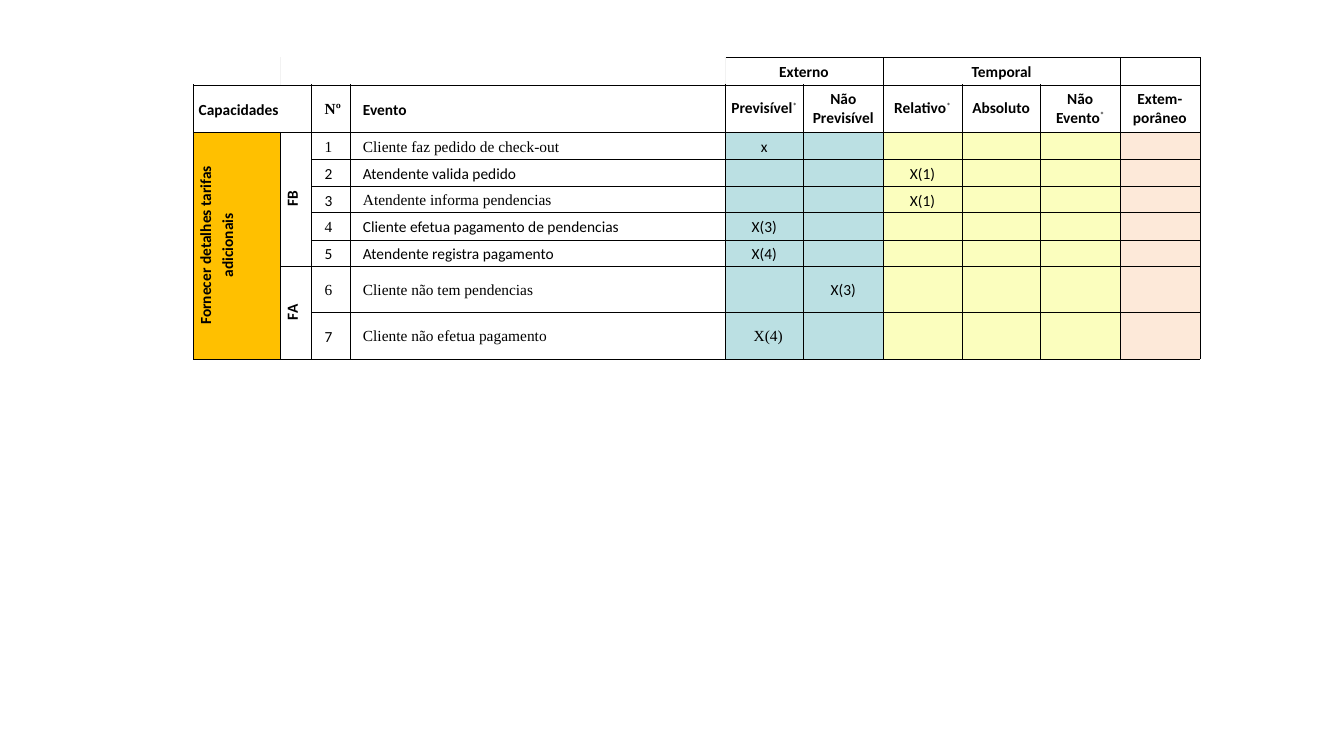
import dataclasses
import pptx
import pptx.dml.color
import pptx.enum.text
import pptx.oxml.ns
import pptx.util
from lxml import etree
from pptx.util import Inches

SANS, SERIF = "Calibri", "Times New Roman"
BLACK, PALE = "000000", "F2F2F2"
AMBER, TEAL, YELLOW, PEACH = "FFC000", "BBE0E3", "FBFEBE", "FDE9D9"
BAND_FILLS = [TEAL] * 2 + [YELLOW] * 3 + [PEACH]
COL_WIDTHS = [0.86, 0.31, 0.38, 3.72, 0.78, 0.79, 0.78, 0.78, 0.79, 0.79]
ROW_HEIGHTS = [0.27, 0.47, 0.27, 0.27, 0.26, 0.27, 0.26, 0.46, 0.46]
NUMBER_COL, EVENT_COL, FIRST_BAND_COL = 2, 3, 4
FIRST_EVENT_ROW = 2


@dataclasses.dataclass
class Event:
    """One event row: its wording, its mark and their fonts."""
    text: str
    mark: str
    mark_col: int
    number_font: str = SANS
    text_font: str = SANS
    mark_font: str = SANS
    mark_indent: float = 0


@dataclasses.dataclass
class Group:
    """A merged cell with a bold label."""
    text: str
    row: int
    col: int
    last_row: int
    last_col: int
    fill: str = ""
    vertical: bool = False
    centred: bool = True


EVENTS = [
    Event("Cliente faz pedido de check-out", "x", 4, SERIF, SERIF),
    Event("Atendente valida pedido", "X(1)", 6),
    Event("Atendente informa pendencias\u00a0", "X(1)", 6, SANS, SERIF),
    Event("Cliente efetua pagamento de pendencias\u00a0", "X(3)", 4, SERIF),
    Event("Atendente registra pagamento", "X(4)", 4),
    Event("Cliente não tem pendencias", "X(3)", 5, SERIF, SERIF),
    Event("Cliente não efetua pagamento", "X(4)", 4, SANS, SERIF, SERIF, 0.08),
]
GROUPS = [
    Group("", 0, 1, 0, 3),
    Group("Externo", 0, 4, 0, 5),
    Group("Temporal", 0, 6, 0, 8),
    Group("Capacidades", 1, 0, 1, 1, centred=False),
    Group("Fornecer detalhes tarifas adicionais", 2, 0, 8, 0, AMBER, True),
    Group("FB", 2, 1, 6, 1, vertical=True),
    Group("FA", 7, 1, 8, 1, vertical=True),
]
# A trailing asterisk is set as a superscript.
BAND_HEADS = ["Previsível*", "Não Previsível", "Relativo*", "Absoluto",
              "Não Evento*", "Extem-porâneo"]


def rgb(color: str) -> pptx.dml.color.RGBColor:
    """Turn a hex string into a colour."""
    return pptx.dml.color.RGBColor.from_string(color)


def write(cell, text: str, *, font: str = SANS, bold: bool = False,
          centred: bool = True, indent: float = 0, spacing: float = 1.15) -> None:
    """Write formatted text in a cell."""
    p = cell.text_frame.paragraphs[0]
    p.line_spacing = spacing
    align = pptx.enum.text.PP_ALIGN
    p.alignment = align.CENTER if centred else align.LEFT
    if indent:
        p._p.get_or_add_pPr().set("indent", str(Inches(indent)))
    body = text.rstrip("*")
    for part in filter(None, (body, text[len(body):])):
        r = p.add_run()
        r.text = part
        r.font.name, r.font.size = font, pptx.util.Pt(11)
        r.font.bold = bold and part != "*"
        r.font.color.rgb = rgb(BLACK)
        if part == "*":
            r.font._element.set("baseline", "30000")


def set_borders(cell, **colors: str) -> None:
    """Draw hairlines on the sides L, R, T and B; an empty colour draws none."""
    tc_pr = cell._tc.get_or_add_tcPr()
    qn = pptx.oxml.ns.qn
    for side, color in colors.items():
        ln = etree.SubElement(tc_pr, qn(f"a:ln{side}"), w="3175")
        if color:
            fill = etree.SubElement(ln, qn("a:solidFill"))
            etree.SubElement(fill, qn("a:srgbClr"), val=color)
        else:
            etree.SubElement(ln, qn("a:noFill"))


def format_cell(cell, row: int, col: int) -> None:
    """Set the margins, anchor, borders and fill that follow from the place."""
    cell.margin_left = cell.margin_right = Inches(0.05)
    cell.margin_top = cell.margin_bottom = 0
    cell.vertical_anchor = pptx.enum.text.MSO_ANCHOR.MIDDLE
    end = cell.text_frame.paragraphs[0]._p.get_or_add_endParaRPr()
    end.set("sz", "1100")
    if row == 0 and col < FIRST_BAND_COL:
        set_borders(cell, L=PALE if col else "", R=PALE, T="", B=BLACK)
    else:
        left = PALE if (row, col) == (0, FIRST_BAND_COL) else BLACK
        set_borders(cell, L=left, R=BLACK, T=BLACK, B=BLACK)
    if row >= FIRST_EVENT_ROW and col >= FIRST_BAND_COL:
        cell.fill.solid()
        cell.fill.fore_color.rgb = rgb(BAND_FILLS[col - FIRST_BAND_COL])
    else:
        cell.fill.background()


def add_group(table, group: Group) -> None:
    """Merge the cells of a group and label them."""
    cell = table.cell(group.row, group.col)
    cell.merge(table.cell(group.last_row, group.last_col))
    write(cell, group.text, bold=True, centred=group.centred)
    if group.vertical:
        cell._tc.get_or_add_tcPr().set("vert", "vert270")
    if group.fill:
        cell.fill.solid()
        cell.fill.fore_color.rgb = rgb(group.fill)


def add_event(table, number: int, event: Event) -> None:
    """Fill one event row."""
    row = FIRST_EVENT_ROW + number - 1
    write(table.cell(row, NUMBER_COL), str(number), font=event.number_font,
          centred=False, indent=0.08)
    write(table.cell(row, EVENT_COL), event.text, font=event.text_font,
          centred=False, indent=0.08)
    write(table.cell(row, event.mark_col), event.mark, font=event.mark_font,
          indent=event.mark_indent)


def add_event_table(s) -> None:
    """Build the table that classifies the events."""
    frame = s.shapes.add_table(len(ROW_HEIGHTS), len(COL_WIDTHS), Inches(1.92),
                               Inches(0.57), Inches(9.97), Inches(2.98))
    table = frame.table
    table.first_row = table.horz_banding = False
    for column, width in zip(table.columns, COL_WIDTHS):
        column.width = Inches(width)
    for i, (row, height) in enumerate(zip(table.rows, ROW_HEIGHTS)):
        row.height = Inches(height)
        for j, cell in enumerate(row.cells):
            format_cell(cell, i, j)
    for group in GROUPS:
        add_group(table, group)
    write(table.cell(1, NUMBER_COL), "Nº", font=SERIF, bold=True,
          centred=False, indent=0.08)
    write(table.cell(1, EVENT_COL), "Evento", bold=True, centred=False, indent=0.08)
    for col, head in enumerate(BAND_HEADS, FIRST_BAND_COL):
        write(table.cell(1, col), head, bold=True, spacing=1.0)
    for number, event in enumerate(EVENTS, 1):
        add_event(table, number, event)


prs = pptx.Presentation()
prs.slide_width, prs.slide_height = Inches(13.33), Inches(7.5)
add_event_table(prs.slides.add_slide(prs.slide_layouts[6]))
prs.save("out.pptx")
